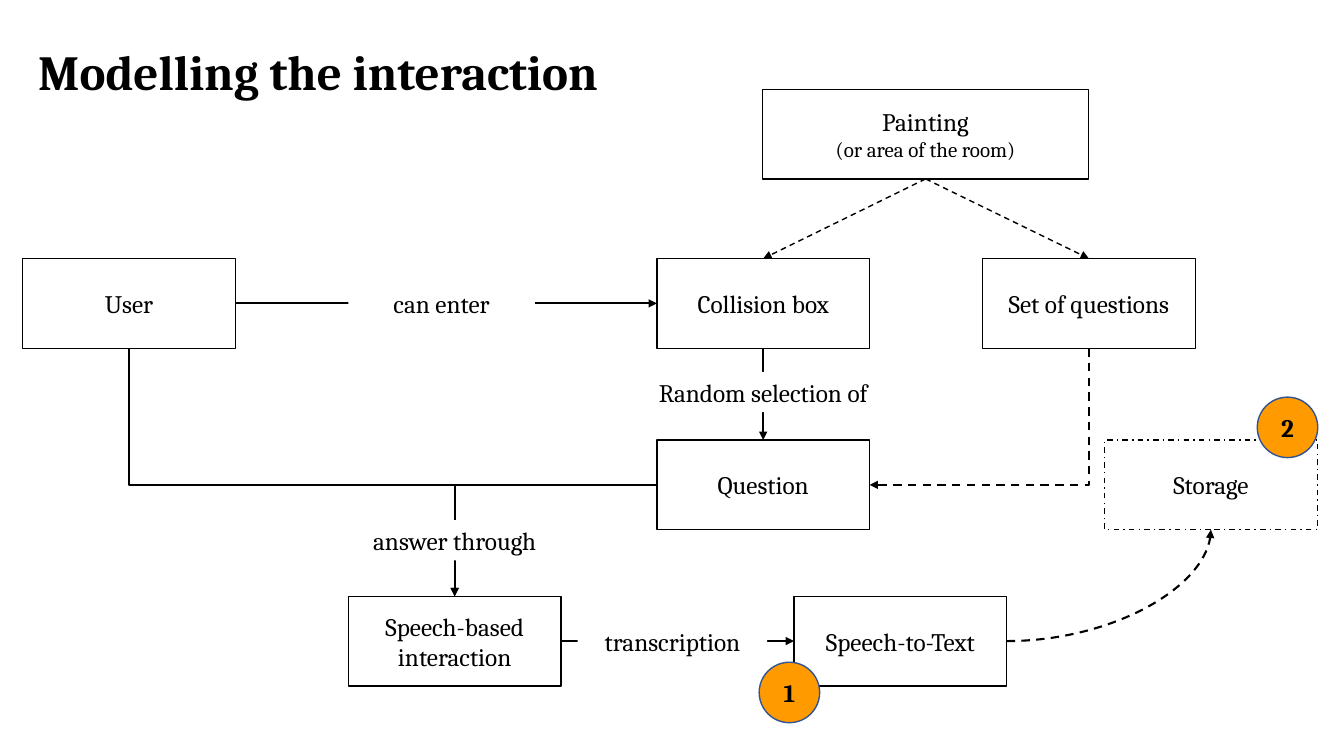
"""Build the slide that models the interaction between user, painting and storage."""
from pptx import Presentation, util as u
from pptx.dml.color import RGBColor
from pptx.enum import dml, shapes, text
from pptx.oxml.ns import qn
from pptx.oxml.xmlchemy import OxmlElement

COLUMNS = {"user": 1.28, "speech": 4.51, "collision": 7.57, "transcript": 8.93,
           "painting": 9.18, "questions": 10.8, "storage": 12.01}
ROWS = [1.33, 3.01, 4.81, 6.36]
BOX_WIDTH, BOX_HEIGHT = 2.11, 0.89
TOP, LEFT, BOTTOM, RIGHT = range(4)
BLACK, WHITE, ORANGE, NAVY = "000000", "FFFFFF", "FF9B00", "325491"
DASH = dml.MSO_LINE.DASH


def colour(value):
    """Turn a hex string into a colour."""
    return RGBColor.from_string(value)


def write(frame, content, size=18, bold=False, align=text.PP_ALIGN.CENTER,
          anchor=text.MSO_ANCHOR.MIDDLE, spacing=None, small=None):
    """Fill a text frame, with an optional second line in a smaller size."""
    frame.word_wrap = True
    frame.vertical_anchor = anchor
    lines = [(content, size)] + ([(small, 15)] if small else [])
    for number, (words, points) in enumerate(lines):
        paragraph = frame.add_paragraph() if number else frame.paragraphs[0]
        paragraph.alignment = align
        paragraph.line_spacing = spacing
        run = paragraph.add_run()
        run.text = words
        run.font.name = "Cambria"
        run.font.size = u.Pt(points)
        run.font.bold = bold
        run.font.color.rgb = colour(BLACK)


def centred(x, y, width, height):
    """Return the frame of an element from its centre and size."""
    return [u.Inches(v) for v in (x - width / 2, y - height / 2, width, height)]


def outlined(slide, preset, frame, fill, line, dash=None):
    """Add a filled shape with a thin outline."""
    shape = slide.shapes.add_shape(preset, *frame)
    shape.shadow.inherit = False
    shape.fill.solid()
    shape.fill.fore_color.rgb = colour(fill)
    shape.line.color.rgb = colour(line)
    shape.line.width = u.Pt(1)
    shape.line.dash_style = dash
    return shape


def box(slide, column, row, content, width=BOX_WIDTH, dash=None, small=None):
    """Add a concept box at a column and row of the diagram."""
    frame = centred(COLUMNS[column], ROWS[row], width, BOX_HEIGHT)
    concept = outlined(slide, shapes.MSO_SHAPE.RECTANGLE, frame, WHITE, BLACK, dash)
    write(concept.text_frame, content, small=small)
    return concept


def badge(slide, x, y, number):
    """Add a numbered circle."""
    circle = outlined(slide, shapes.MSO_SHAPE.OVAL, centred(x, y, 0.6, 0.6), ORANGE, NAVY)
    write(circle.text_frame, number, bold=True)


def label(slide, x, y, width, content):
    """Add a relation label that covers the arrow behind it."""
    relation = slide.shapes.add_textbox(*centred(x, y, width, 0.4))
    relation.fill.solid()
    relation.fill.fore_color.rgb = colour(WHITE)
    write(relation.text_frame, content, anchor=text.MSO_ANCHOR.TOP)
    relation.text_frame.auto_size = text.MSO_AUTO_SIZE.SHAPE_TO_FIT_TEXT


def style_arrow(arrow, width, dash):
    """Give a connector its line, arrowhead and flat look."""
    arrow.line.color.rgb = colour(BLACK)
    arrow.line.width = u.Pt(width)
    arrow.line.dash_style = dash
    head = OxmlElement("a:tailEnd")
    head.set("type", "triangle")
    arrow.line._get_or_add_ln().append(head)
    arrow._element.spPr.append(OxmlElement("a:effectLst"))


def straight(slide, start, start_side, finish, finish_side, width=1.5, dash=None):
    """Join the sides of two boxes with a straight arrow."""
    arrow = slide.shapes.add_connector(shapes.MSO_CONNECTOR.STRAIGHT, 0, 0, 0, 0)
    arrow.begin_connect(start, start_side)
    arrow.end_connect(finish, finish_side)
    style_arrow(arrow, width, dash)


def side_point(concept, side):
    """Return the middle of a side of a box."""
    x = {LEFT: 0, RIGHT: 1}.get(side, 0.5)
    y = {TOP: 0, BOTTOM: 1}.get(side, 0.5)
    return concept.left + concept.width * x, concept.top + concept.height * y


def turning(slide, begin, end, preset, turn=0, flip_h=False, flip_v=False,
            bend=None, dash=None):
    """Join two points with an arrow that turns a corner."""
    (x1, y1), (x2, y2) = begin, end
    width, height = abs(x2 - x1), abs(y2 - y1)
    if turn % 180:
        width, height = height, width
    across = (-width if flip_h else width) / 2
    down = (-height if flip_v else height) / 2
    x, y = (x1 + x2) / 2, (y1 + y2) / 2
    corners = [int(v) for v in (x - across, y - down, x + across, y + down)]
    arrow = slide.shapes.add_connector(shapes.MSO_CONNECTOR.ELBOW, *corners)
    properties = arrow._element.spPr
    properties.find(qn("a:xfrm")).set("rot", str(turn * 60000))
    geometry = properties.find(qn("a:prstGeom"))
    geometry.set("prst", preset)
    if bend:
        guide = OxmlElement("a:gd")
        guide.set("name", "adj1")
        guide.set("fmla", f"val {round(bend * 100000)}")
        geometry.find(qn("a:avLst")).append(guide)
    style_arrow(arrow, 1.5, dash)


def main():
    """Draw the title, boxes, arrows, labels and badges."""
    deck = Presentation()
    deck.slide_width, deck.slide_height = u.Inches(13.33), u.Inches(7.5)
    slide = deck.slides.add_slide(deck.slide_layouts[6])

    title = slide.shapes.add_textbox(*centred(5.75, 0.74, 10.94, 1.45))
    write(title.text_frame, "Modelling the interaction", size=35, bold=True,
          align=text.PP_ALIGN.LEFT, spacing=0.9)

    collision = box(slide, "collision", 1, "Collision box")
    questions = box(slide, "questions", 1, "Set of questions")
    painting = box(slide, "painting", 0, "Painting", width=3.23,
                   small="(or area of the room)")
    user = box(slide, "user", 1, "User")
    question = box(slide, "collision", 2, "Question")
    speech = box(slide, "speech", 3, "Speech-based interaction")
    transcript = box(slide, "transcript", 3, "Speech-to-Text")
    storage = box(slide, "storage", 2, "Storage", dash=dml.MSO_LINE.DASH_DOT)

    straight(slide, user, RIGHT, collision, LEFT)
    straight(slide, collision, BOTTOM, question, TOP)
    straight(slide, speech, RIGHT, transcript, LEFT)
    for target in (collision, questions):
        straight(slide, painting, BOTTOM, target, TOP, width=1, dash=DASH)

    turning(slide, side_point(questions, BOTTOM), side_point(question, RIGHT),
            "bentConnector2", turn=90, dash=DASH)
    turning(slide, side_point(question, LEFT), side_point(speech, TOP),
            "bentConnector2", turn=180, flip_v=True)
    turning(slide, side_point(user, BOTTOM), side_point(speech, TOP),
            "bentConnector3", turn=270, flip_h=True, bend=0.55)
    turning(slide, side_point(transcript, RIGHT), side_point(storage, BOTTOM),
            "curvedConnector2", flip_v=True, dash=DASH)

    label(slide, 4.38, ROWS[1], 1.85, "can enter")
    label(slide, COLUMNS["collision"], 3.89, 2.57, "Random selection of")
    label(slide, COLUMNS["speech"], 5.36, 2.19, "answer through")
    label(slide, 6.67, ROWS[3], 1.88, "transcription")

    badge(slide, 7.83, 6.87, "1")
    badge(slide, 12.77, 4.24, "2")
    deck.save("out.pptx")


if __name__ == "__main__":
    main()
